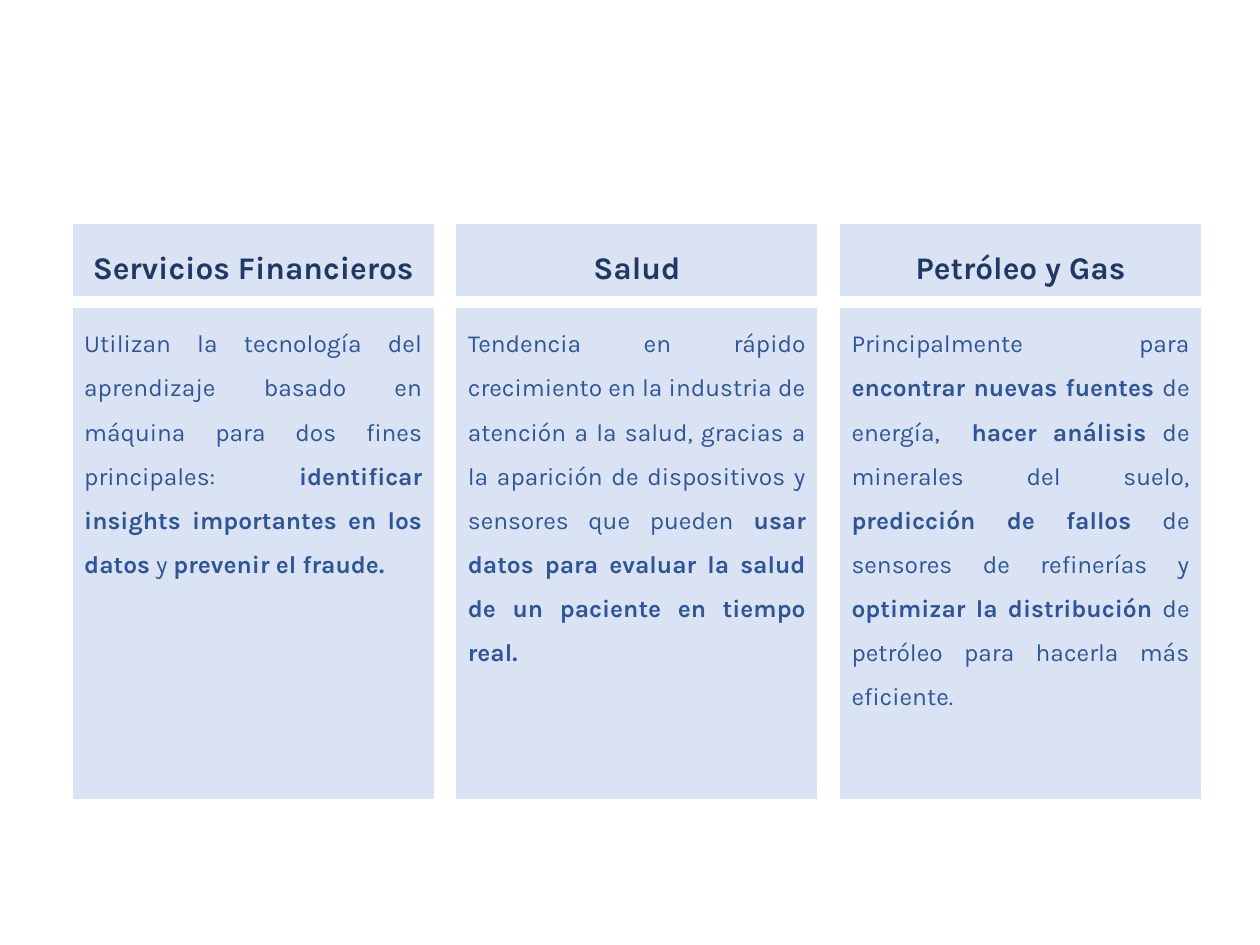
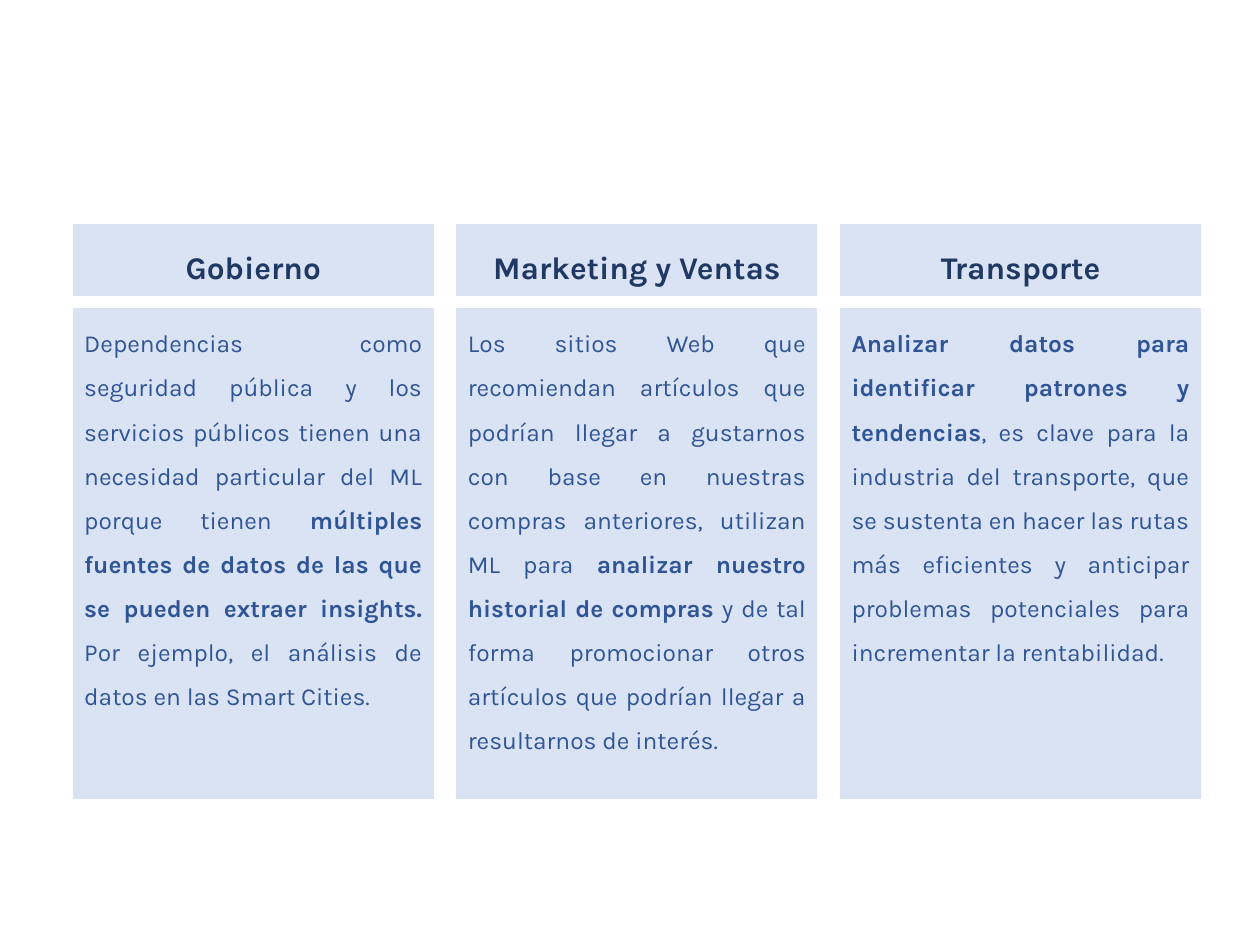
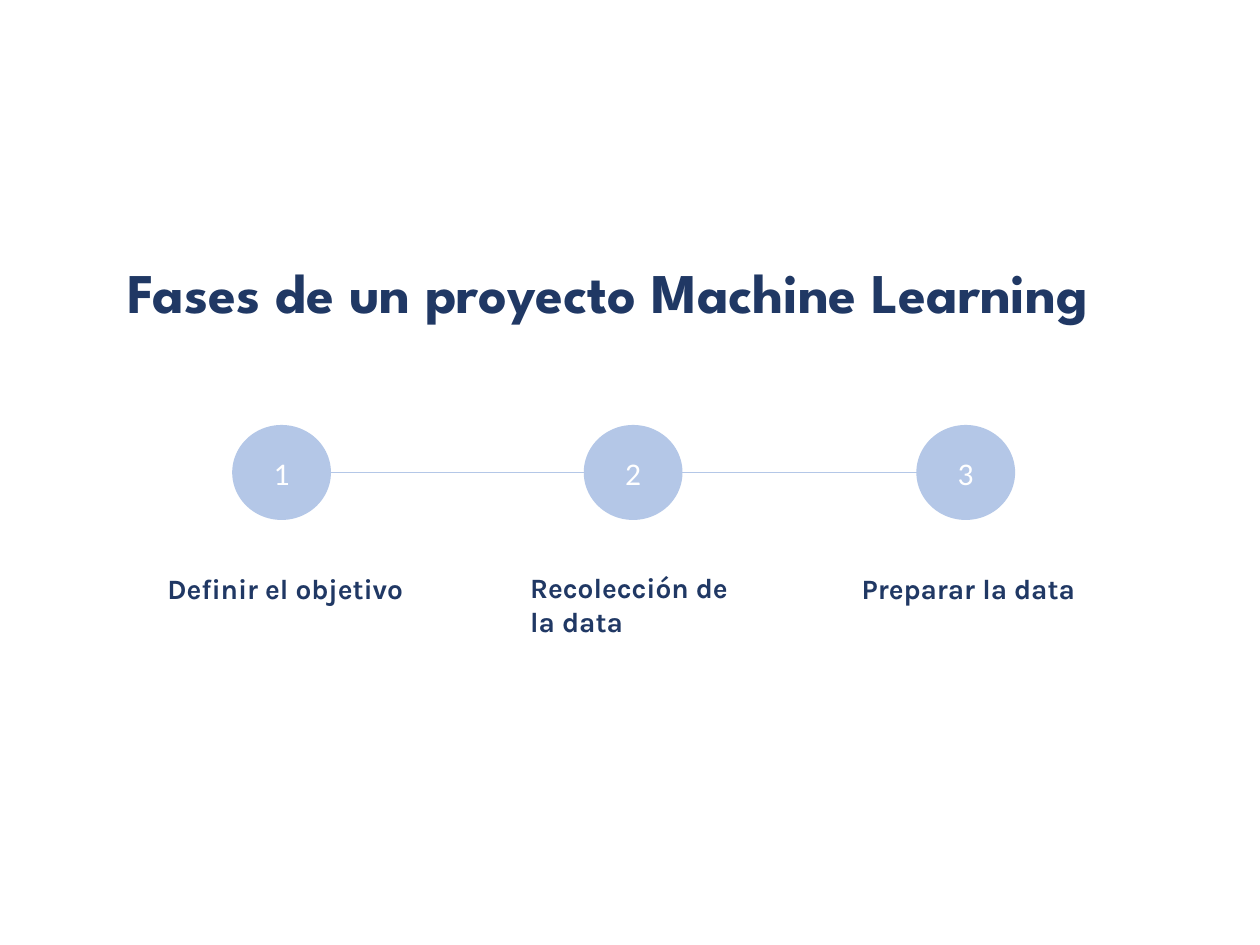
from lxml import etree
from pptx import Presentation
from pptx.dml.color import RGBColor
from pptx.enum.shapes import MSO_CONNECTOR, MSO_SHAPE
from pptx.enum.text import MSO_ANCHOR as Anchor, MSO_AUTO_SIZE as AutoSize, PP_ALIGN as Align
from pptx.oxml.ns import qn
from pptx.util import Inches, Pt

# Shared colours and fonts
WHITE = RGBColor(0xFF, 0xFF, 0xFF)
PANEL = RGBColor(0xDA, 0xE3, 0xF3)
ACCENT = RGBColor(0xB4, 0xC7, 0xE7)
NAVY = RGBColor(0x20, 0x38, 0x64)
BLUE = RGBColor(0x2F, 0x55, 0x97)

TITLE_FONT = {"name": "League Spartan", "size": Pt(32), "color": NAVY, "bold": True}
HEADING_FONT = {"name": "Karla", "size": Pt(18), "color": NAVY, "bold": True}
BODY_FONT = {"name": "Karla", "size": Pt(14), "color": BLUE}
LABEL_FONT = {"name": "Karla", "size": Pt(16), "color": NAVY, "bold": True}
NUMBER_FONT = {"name": "Calibri", "size": Pt(18), "color": WHITE}

TITLE_ONLY, BLANK = 5, 6

# Regions as left, top, width, height in inches
COLUMNS_BOX = (0.57, 1.77, 8.97, 4.58)
TITLE_BOX = (0.07, 2.05, 9.52, 0.89)
COLUMN_WIDTH, HEADING_HEIGHT, BODY_TOP = 2.88, 0.59, 0.67
CIRCLE_TOP, CIRCLE_WIDTH, CIRCLE_HEIGHT = 3.38, 0.77, 0.74

# Text between double asterisks is bold
FIRST_SECTORS = [
    ("Servicios Financieros",
     "Utilizan la tecnología del aprendizaje basado en máquina para dos fines principales: "
     "**identificar insights importantes en los datos** y **prevenir el fraude.**"),
    ("Salud",
     "Tendencia en rápido crecimiento en la industria de atención a la salud, gracias a la "
     "aparición de dispositivos y sensores que pueden **usar datos para evaluar la salud de "
     "un paciente en tiempo real.**"),
    ("Petróleo y Gas",
     "Principalmente para **encontrar nuevas fuentes** de energía,  **hacer análisis** de "
     "minerales del suelo, **predicción de fallos** de sensores de refinerías y "
     "**optimizar la distribución** de petróleo para hacerla más eficiente."),
]
SECOND_SECTORS = [
    ("Gobierno",
     "Dependencias como seguridad pública y los servicios públicos tienen una necesidad "
     "particular del ML porque tienen **múltiples fuentes de datos de las que se pueden "
     "extraer insights.** Por ejemplo, el análisis de datos en las Smart Cities."),
    ("Marketing y Ventas",
     "Los sitios Web que recomiendan artículos que podrían llegar a gustarnos con base en "
     "nuestras compras anteriores, utilizan ML para **analizar nuestro historial de "
     "compras** y de tal forma promocionar otros artículos que podrían llegar a "
     "resultarnos de interés."),
    ("Transporte",
     "**Analizar datos para identificar patrones y tendencias**, es clave para la industria "
     "del transporte, que se sustenta en hacer las rutas más eficientes y anticipar "
     "problemas potenciales para incrementar la rentabilidad."),
]

# Circle left, label text, label box, label wraps
PHASES = [
    (1.85, "Definir el objetivo", (1.23, 4.49, 2.12, 0.37), False),
    (4.64, "Recolección de la data", (4.11, 4.48, 1.88, 0.88), True),
    (7.28, "Preparar la data", (6.74, 4.49, 2.04, 0.61), True),
]


def inches(*lengths):
    return [Inches(length) for length in lengths]


def write_text(shape, text, font, align, spacing=None, anchor=Anchor.TOP, wrap=True):
    """Fill a shape with one paragraph, with bold spans between ** marks."""
    frame = shape.text_frame
    frame.word_wrap = wrap
    frame.vertical_anchor = anchor
    para = frame.paragraphs[0]
    para.alignment = align
    para.line_spacing = spacing
    for index, piece in enumerate(text.split("**")):
        if not piece:
            continue
        span = para.add_run()
        span.text = piece
        span.font.bold = index % 2 == 1
        for key, value in font.items():
            if key == "color":
                span.font.color.rgb = value
            else:
                setattr(span.font, key, value)


def add_filled(page, kind, box, fill, line):
    shape = page.shapes.add_shape(kind, *inches(*box))
    shape.shadow.inherit = False
    shape.fill.solid()
    shape.fill.fore_color.rgb = fill
    shape.line.color.rgb = line
    shape.line.width = Pt(1)
    return shape


def add_column(page, box, heading, body):
    """A heading panel above a body panel."""
    left, top, width, height = box
    panels = [
        ((left, top, width, HEADING_HEIGHT), heading, HEADING_FONT, Align.CENTER),
        ((left, top + BODY_TOP, width, height - BODY_TOP), body, BODY_FONT, Align.JUSTIFY),
    ]
    for panel_box, text, font, align in panels:
        panel = add_filled(page, MSO_SHAPE.RECTANGLE, panel_box, PANEL, WHITE)
        write_text(panel, text, font, align, spacing=1.5)


def add_sectors_slide(deck, sectors, box=COLUMNS_BOX):
    page = deck.slides.add_slide(deck.slide_layouts[BLANK])
    left, top, width, height = box
    pitch = (width - COLUMN_WIDTH) / (len(sectors) - 1)
    for index, (heading, body) in enumerate(sectors):
        add_column(page, (left + index * pitch, top, COLUMN_WIDTH, height), heading, body)


def add_title(page, text, box):
    title = page.shapes.title
    title.left, title.top, title.width, title.height = inches(*box)
    write_text(title, text, TITLE_FONT, Align.CENTER, spacing=0.9, wrap=False)
    title.text_frame.auto_size = AutoSize.SHAPE_TO_FIT_TEXT


def add_link(page, start, end, level):
    link = page.shapes.add_connector(MSO_CONNECTOR.STRAIGHT, *inches(start, level, end, level))
    link.line.color.rgb = ACCENT
    link.line.width = Pt(0.5)
    etree.SubElement(link._element.spPr, qn("a:effectLst"))


def add_phase(page, number, left, label, label_box, wrap):
    """A numbered circle with its label below."""
    circle_box = (left, CIRCLE_TOP, CIRCLE_WIDTH, CIRCLE_HEIGHT)
    circle = add_filled(page, MSO_SHAPE.OVAL, circle_box, ACCENT, ACCENT)
    write_text(circle, str(number), NUMBER_FONT, Align.CENTER, anchor=Anchor.MIDDLE)
    caption = page.shapes.add_textbox(*inches(*label_box))
    write_text(caption, label, LABEL_FONT, Align.LEFT, wrap=wrap)
    caption.text_frame.auto_size = AutoSize.SHAPE_TO_FIT_TEXT


def add_phases_slide(deck, title, phases):
    page = deck.slides.add_slide(deck.slide_layouts[TITLE_ONLY])
    add_title(page, title, TITLE_BOX)
    for number, phase in enumerate(phases, start=1):
        add_phase(page, number, *phase)
    # Lines between neighbouring circles
    for current, following in zip(phases, phases[1:]):
        add_link(page, current[0] + CIRCLE_WIDTH, following[0], CIRCLE_TOP + CIRCLE_HEIGHT / 2)


def main():
    deck = Presentation()
    deck.slide_width, deck.slide_height = inches(10, 7.5)
    add_sectors_slide(deck, FIRST_SECTORS)
    add_sectors_slide(deck, SECOND_SECTORS)
    add_phases_slide(deck, "Fases de un proyecto Machine Learning", PHASES)
    deck.save("out.pptx")


if __name__ == "__main__":
    main()
